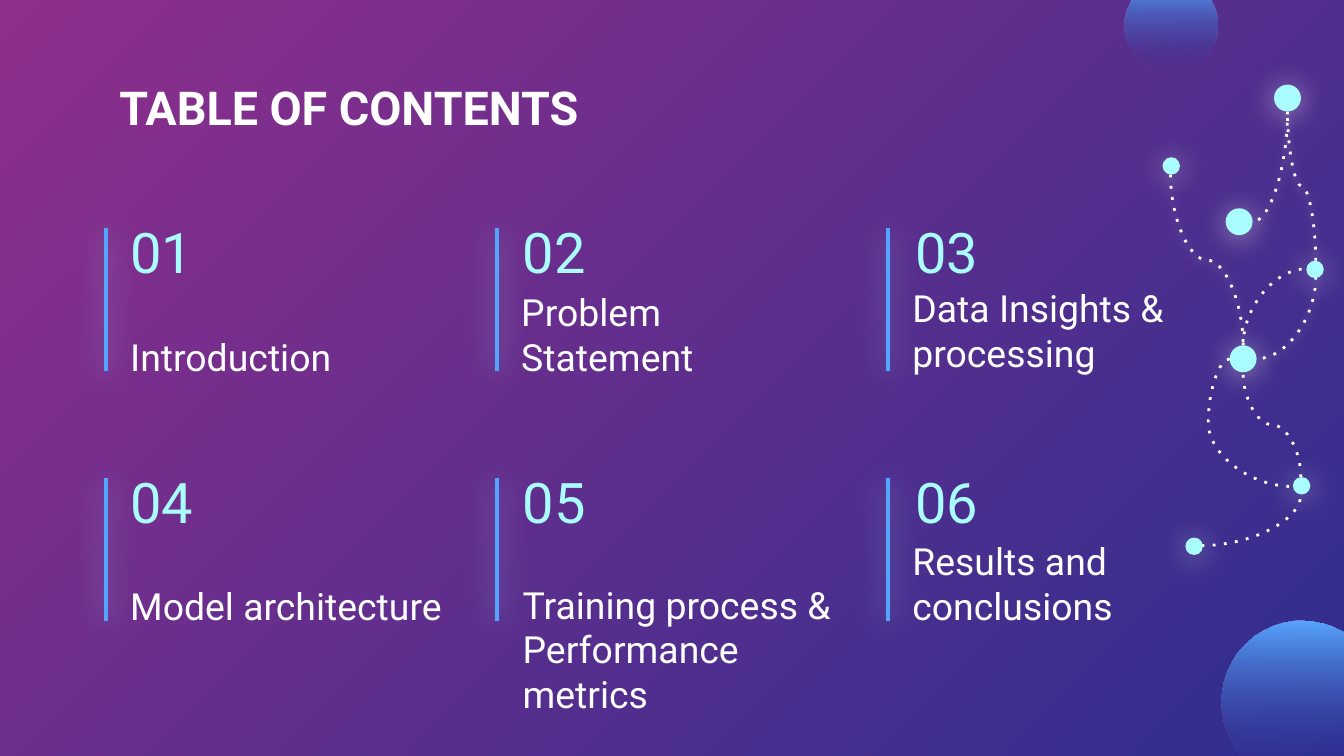
from lxml import etree
from pptx import Presentation, util as u
from pptx.dml.color import RGBColor
from pptx.enum import shapes, text
from pptx.oxml.ns import qn

WHITE, AQUA, BLUE, INDIGO, PURPLE = "FFFFFF", "AAFDFF", "55A4FF", "2E2E8F", "8F2E8B"
LEFT, COLUMN, TOP, ROW = 0.79, 2.91, 1.7, 1.86
BAR_HEIGHT, GUTTER = 1.06, 0.08

presentation = Presentation()
presentation.slide_width = u.Inches(10)
presentation.slide_height = u.Inches(10 * 9 / 16)
slide = presentation.slides.add_slide(presentation.slide_layouts[6])


def color(value):
    return RGBColor.from_string(value)


def add_text(words, left, top, width, height, size=20, ink=WHITE, bold=False,
             anchor=text.MSO_ANCHOR.BOTTOM):
    box = slide.shapes.add_textbox(*map(u.Inches, (left, top, width, height)))
    frame = box.text_frame
    frame.word_wrap, frame.vertical_anchor = True, anchor
    frame.margin_left = frame.margin_right = u.Inches(0.1)
    frame.margin_top = frame.margin_bottom = u.Inches(0.1)
    run = frame.paragraphs[0].add_run()
    run.text = words
    font = run.font
    font.name, font.size, font.bold = "Roboto", u.Pt(size), bold
    font.color.rgb = color(ink)


glows = []  # (shape, colour, blur), applied at the end

# Background
fill = slide.background.fill
fill.gradient()
fill.gradient_angle = 315
for stop, value in zip(fill.gradient_stops, (PURPLE, INDIGO)):
    stop.color.rgb = color(value)

# Title and numbered topics: words, left shift, top shift, width, height
add_text("TABLE OF CONTENTS", LEFT, 0.49, 8.43, 0.63, size=25, bold=True,
         anchor=text.MSO_ANCHOR.TOP)
topics = [
    ("Introduction", 0, 0.65, 2.52, 0.57),
    ("Problem Statement", 0, 0.65, 2.52, 0.57),
    ("Data Insights & processing", 0, 0.4, 2.93, 0.79),
    ("Model architecture", 0, 0.64, 2.52, 0.57),
    ("Training process & Performance metrics", 0.01, 0.44, 2.72, 1.43),
    ("Results and conclusions", 0, 0.64, 2.52, 0.57),
]
for index, (words, shift, drop, width, height) in enumerate(topics):
    row, column = divmod(index, 3)
    x, y = LEFT + column * COLUMN, TOP + row * ROW
    add_text(f"{index + 1:02}", x + GUTTER + 0.01 * column, y - 0.08, 1.12, 0.49,
             size=30, ink=AQUA, anchor=text.MSO_ANCHOR.MIDDLE)
    add_text(words, x + GUTTER + shift, y + drop, width, height)
    bar = slide.shapes.add_connector(shapes.MSO_CONNECTOR.STRAIGHT, *map(
        u.Inches, (x, y, x, y + BAR_HEIGHT)))
    bar.line.color.rgb, bar.line.width = color(BLUE), u.Pt(2.25)
    glows.append((bar, AQUA, 15.8))

# Dotted curves: start, end, leaves vertically, preset, first adjustment, glow
curves = [
    ((9.25, 2.57), (9.72, 2), True, "curvedConnector2", None, False),
    ((8.71, 1.3), (9.25, 2.57), True, "curvedConnector3", 50000, True),
    ((9.79, 1.94), (9.58, 0.83), True, "curvedConnector3", 50000, True),
    ((9.79, 2.06), (9.35, 2.67), True, "curvedConnector2", None, True),
    ((9.58, 0.83), (9.32, 1.65), True, "curvedConnector2", None, True),
    ((9.15, 2.67), (9.62, 3.62), False, "curvedConnector3", -34000, False),
    ((8.94, 4.06), (9.68, 3.68), False, "curvedConnector2", None, False),
    ((9.68, 3.55), (9.25, 2.77), True, "curvedConnector3", 50000, False),
]
for (x1, y1), (x2, y2), vertical, preset, adjustment, glow in curves:
    curve = slide.shapes.add_connector(shapes.MSO_CONNECTOR.CURVE, *map(
        u.Inches, (x1, y1, x2, y2)))
    properties = curve._element.spPr
    if vertical:  # a quarter turn about the centre swaps width and height
        dx, dy = x2 - x1, y2 - y1
        frame = properties.find(qn("a:xfrm"))
        frame.attrib.clear()
        frame.set("rot", str((90 if dx < 0 else 270) * 60000))
        if dx * dy > 0:
            frame.set("flipH", "1")
        curve.width, curve.height = u.Inches(abs(dy)), u.Inches(abs(dx))
        curve.left = u.Inches((x1 + x2 - abs(dy)) / 2)
        curve.top = u.Inches((y1 + y2 - abs(dx)) / 2)
    geometry = properties.find(qn("a:prstGeom"))
    geometry.set("prst", preset)
    if adjustment is not None:
        guides = geometry.find(qn("a:avLst"))
        etree.SubElement(guides, qn("a:gd"), name="adj1", fmla=f"val {adjustment}")
    curve.line.color.rgb, curve.line.width = color(WHITE), u.Pt(1.5)
    etree.SubElement(properties.find(qn("a:ln")), qn("a:prstDash"), val="dot")
    glows.append((curve, WHITE if glow else None, 4.5))

# Nodes: left, top, diameter
nodes = [(9.12, 1.55, 0.2), (9.15, 2.57, 0.2), (9.48, 0.63, 0.2), (8.65, 1.17, 0.13),
         (9.72, 1.94, 0.13), (9.62, 3.55, 0.13), (8.82, 4, 0.13)]
planets = [(8.37, -0.16, 0.69), (9.09, 4.62, 1.2)]
for left, top, size in nodes + planets:
    disc = slide.shapes.add_shape(shapes.MSO_SHAPE.OVAL, *map(
        u.Inches, (left, top, size, size)))
    disc.line.fill.background()
    if size < 0.5:
        disc.fill.solid()
        disc.fill.fore_color.rgb = color(AQUA)
        glows.append((disc, WHITE, 15.8))
    else:
        disc.shadow.inherit = False
        disc.fill.gradient()
        disc.fill.gradient_angle = 270
        for stop, value in zip(disc.fill.gradient_stops, (BLUE, INDIGO)):
            stop.color.rgb = color(value)
        faded = list(disc._element.spPr.iter(qn("a:srgbClr")))[1]
        etree.SubElement(faded, qn("a:alpha"), val="0")

# Soft glows; an empty effect list means no shadow
for shape, value, blur in glows:
    effects = etree.SubElement(shape._element.spPr, qn("a:effectLst"))
    if value:
        shadow = etree.SubElement(
            effects, qn("a:outerShdw"), blurRad=str(u.Pt(blur)), dist=str(u.Pt(1.5)),
            dir="5400000", algn="bl", rotWithShape="0")
        tint = etree.SubElement(shadow, qn("a:srgbClr"), val=value)
        etree.SubElement(tint, qn("a:alpha"), val="50000")

presentation.save("out.pptx")
